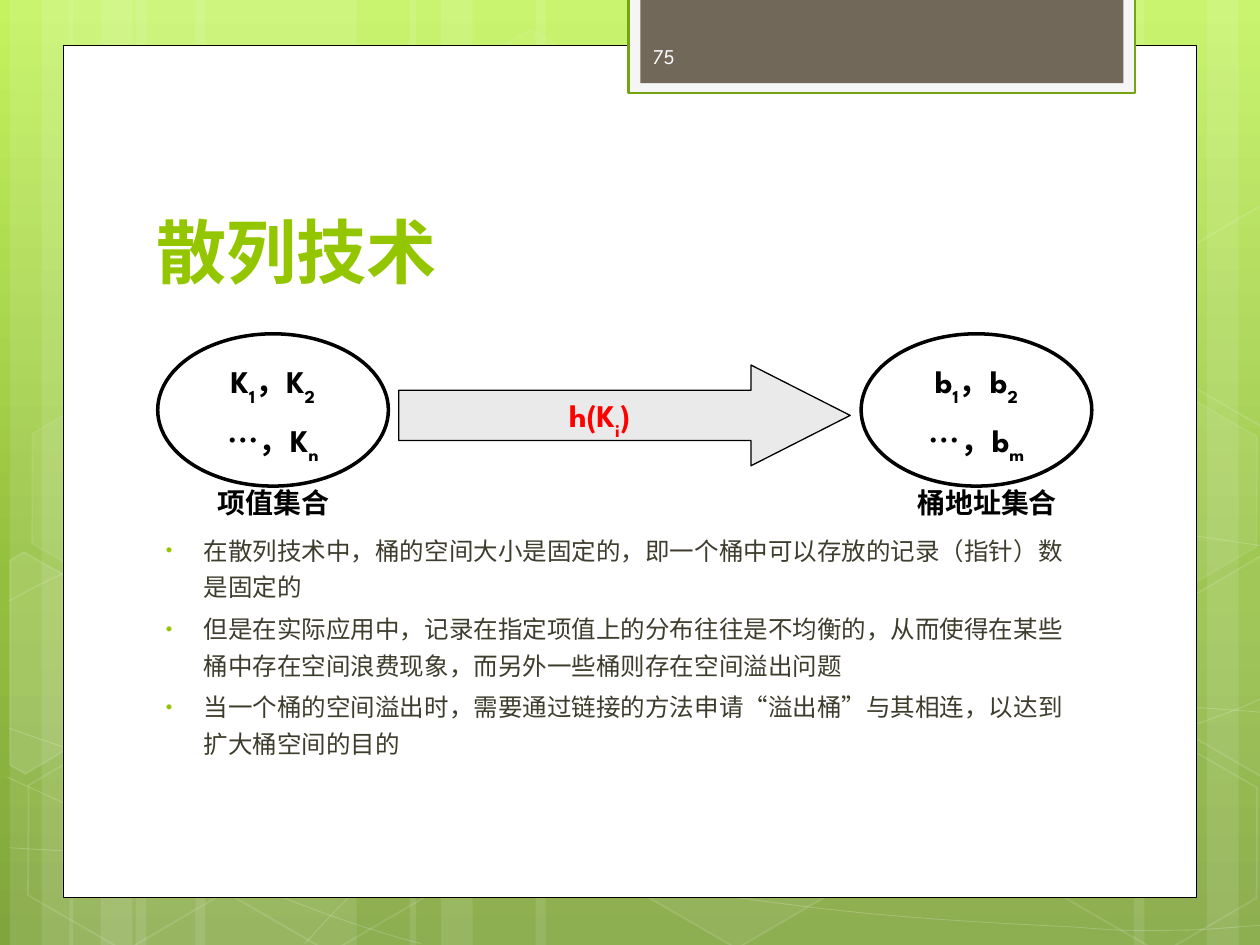
from lxml.etree import SubElement
from pptx import Presentation
from pptx.dml.color import RGBColor
from pptx.enum.shapes import MSO_SHAPE as Preset
from pptx.enum.text import MSO_ANCHOR as Anchor, MSO_AUTO_SIZE as AutoSize, PP_ALIGN as Align
from pptx.oxml.ns import qn
from pptx.util import Cm, Pt

COLORS = {
    "white": "FFFFFF", "black": "000000", "frame": "F5F5F5", "frame_edge": "74A510",
    "header": "71685A", "accent": "94C600", "body": "3E3D2D", "number": "FEFEFE",
    "arrow": "EAEAEA", "formula": "FF0000",
}
BACKGROUND_STOPS = [(0, "C3F35F"), (62, "93BF3F"), (100, "81A53E")]
FONT = "League Spartan"
SLIDE_WIDTH, SLIDE_HEIGHT = 25.4, 19.05

WIDE, NARROW, MEDIUM = 4.45, 1.27, 2.11
BANDS = [
    (2.74, WIDE), (0.2, NARROW), (0.84, MEDIUM), (3.94, WIDE), (1.4, NARROW), (2.03, MEDIUM),
    (18.62, WIDE), (24.33, NARROW), (22.86, MEDIUM), (10.8, 7.82), (8.26, NARROW), (8.89, MEDIUM),
]
CURVES = [
    [(0.18, 17.09), (1.55, 17.17), (2.92, 17.25), (4.83, 17.22), (6.73, 17.2), (9.09, 17.15),
     (11.63, 16.89), (14.17, 16.64), (17.78, 16.15), (20.12, 15.67), (22.43, 15.19),
     (24.82, 14.43), (25.58, 14)],
    [(0.18, 12.12), (0.91, 11.71), (1.65, 11.33), (3.07, 10.95), (4.52, 10.57), (6.58, 10.01),
     (8.81, 9.83), (11.07, 9.65), (13.82, 9.63), (16.61, 9.83), (19.41, 10.03),
     (24.05, 10.82), (25.58, 11.02)],
    [(0.15, 15.67), (3.23, 17.07), (6.27, 18.47), (8.48, 19.02)],
    [(0.18, 14.68), (0.97, 14.96), (1.78, 15.24), (3.25, 15.65), (4.72, 16.03), (6.93, 16.66),
     (9.07, 17.09), (11.18, 17.53), (13.84, 17.98), (15.95, 18.24), (18.06, 18.52),
     (20.32, 18.62), (21.67, 18.69), (22.99, 18.8), (23.34, 18.75), (24, 18.75),
     (24.66, 18.72), (25.12, 18.67), (25.58, 18.64)],
    [(6.15, 19.02), (6.6, 18.52), (7.06, 18.01), (7.67, 17.55), (8.28, 17.09), (9.14, 16.59),
     (9.86, 16.23), (10.57, 15.88), (11, 15.72), (11.94, 15.47), (12.85, 15.21),
     (14.55, 14.86), (15.44, 14.68), (16.36, 14.5), (16.48, 14.5), (17.27, 14.45),
     (18.06, 14.38), (19.3, 14.3), (20.17, 14.27), (21.06, 14.25), (22.5, 14.27),
     (22.5, 14.27), (23, 14.27), (23.6, 14.27), (24.21, 14.27), (24.66, 14.3),
     (25.1, 14.33), (25.32, 14.35), (25.55, 14.38), (25.48, 14.35), (25.55, 14.38)],
]
HEXAGONS = [
    (8.48, 0.91, 4, 8), (12.62, 14.96, 6, 12), (0.28, 15.01, 0, 12), (0.36, 7.92, 7, 8),
    (4.42, 15.04, 0, 12), (19.13, 11.51, 10, 12), (21.18, 15.06, 0, 12), (21.18, 7.98, 7, 8),
]
LEFT_CUT = [(0.2, 11.3), (0.48, 11.13), (2.44, 12.24), (2.41, 14.48), (0.51, 15.6), (0.2, 15.42)]
RIGHT_CUT = [(23.52, 12.32), (25.43, 11.2), (25.63, 11.33), (25.63, 15.57), (25.45, 15.67),
             (23.52, 14.55)]
UPPER_CUT = [(x, y - 7.06) for x, y in RIGHT_CUT]

POINTS = [
    "在散列技术中，桶的空间大小是固定的，即一个桶中可以存放的记录（指针）数是固定的",
    "但是在实际应用中，记录在指定项值上的分布往往是不均衡的，从而使得在某些桶中存在空间浪费现象，而另外一些桶则存在空间溢出问题",
    "当一个桶的空间溢出时，需要通过链接的方法申请“溢出桶”与其相连，以达到扩大桶空间的目的",
]


def rgb(name):
    """Return the named colour."""
    return RGBColor.from_string(COLORS[name])


def set_alpha(solid_fill, percent):
    """Make a solid fill partly transparent."""
    SubElement(solid_fill[0], qn("a:alpha")).set("val", str(percent * 1000))


def paint(shape, fill=None, line=None, width=1, fill_alpha=100, line_alpha=100):
    """Set fill, outline and opacity of a shape."""
    shape.shadow.inherit = False
    properties = shape.element.spPr
    if fill:
        shape.fill.solid()
        shape.fill.fore_color.rgb = rgb(fill)
        if fill_alpha < 100:
            set_alpha(properties.find(qn("a:solidFill")), fill_alpha)
    else:
        shape.fill.background()
    if line:
        shape.line.color.rgb = rgb(line)
        shape.line.width = Pt(width)
        if line_alpha < 100:
            set_alpha(properties.find(qn("a:ln")).find(qn("a:solidFill")), line_alpha)
    else:
        shape.line.fill.background()


def add_preset(slide, preset, box, **style):
    """Add a painted preset shape at a box given in centimetres."""
    shape = slide.shapes.add_shape(preset, *map(Cm, box))
    paint(shape, **style)
    return shape


def add_outline(slide, points, close, **style):
    """Add a painted freeform through points given in centimetres."""
    start, *rest = [(Cm(x), Cm(y)) for x, y in points]
    builder = slide.shapes.build_freeform(*start)
    builder.add_line_segments(rest, close=close)
    shape = builder.convert_to_shape()
    paint(shape, **style)
    return shape


def add_curve(slide, controls, **style):
    """Add a chain of cubic Bezier segments."""
    shape = add_outline(slide, controls, False, **style)
    outline = shape.element.spPr.find(".//" + qn("a:path"))
    lines = outline.findall(qn("a:lnTo"))
    for first in range(0, len(lines), 3):
        segment = SubElement(outline, qn("a:cubicBezTo"))
        for line in lines[first:first + 3]:
            segment.append(line[0])
            outline.remove(line)


def write(frame, lines, size, color, bold=True, align=Align.CENTER, anchor=Anchor.TOP, font=FONT):
    """Write lines whose every second part is a subscript."""
    frame.word_wrap = True
    frame.auto_size = AutoSize.NONE
    frame.vertical_anchor = anchor
    for index, parts in enumerate(lines):
        paragraph = frame.paragraphs[0] if index == 0 else frame.add_paragraph()
        paragraph.alignment = align
        if index:
            paragraph.space_before = Pt(8)
        for position, part in enumerate(parts):
            run = paragraph.add_run()
            run.text = part
            if position % 2:
                run._r.get_or_add_rPr().set("baseline", "-30000")
        style_font(paragraph.font, size, color, bold, font)


def style_font(font, size, color, bold=False, name=FONT):
    """Set the common font properties."""
    font.name, font.size, font.bold = name, Pt(size), bold
    font.color.rgb = rgb(color)


def add_label(slide, box, text, size, color, **style):
    """Add a one-line text box."""
    write(slide.shapes.add_textbox(*map(Cm, box)).text_frame, [[text]], size, color, **style)


def add_bullet(paragraph):
    """Give a paragraph a green hanging bullet."""
    properties = paragraph._p.get_or_add_pPr()
    properties.set("marL", str(Cm(0.97)))
    properties.set("indent", str(Cm(-0.76)))
    SubElement(SubElement(properties, qn("a:buClr")), qn("a:srgbClr")).set("val", COLORS["accent"])
    SubElement(properties, qn("a:buSzPct")).set("val", "76000")
    SubElement(properties, qn("a:buFont")).set("typeface", "Arial")
    SubElement(properties, qn("a:buChar")).set("char", "•")


def place(slide, placeholder, box):
    """Move a placeholder to a box and to the front."""
    placeholder.left, placeholder.top, placeholder.width, placeholder.height = map(Cm, box)
    slide.shapes.element.append(placeholder.element)


def fill_background(slide):
    """Fill the background with a vertical green gradient."""
    fill = slide.background.fill
    fill.gradient()
    fill.gradient_angle = 270
    stops = slide.element.find(".//" + qn("a:gsLst"))
    for stop in list(stops):
        stops.remove(stop)
    for position, color in BACKGROUND_STOPS:
        stop = SubElement(stops, qn("a:gs"))
        stop.set("pos", str(position * 1000))
        SubElement(stop, qn("a:srgbClr")).set("val", color)


def add_backdrop(slide):
    """Add bands, curves, hexagons, the white panel and the header tab."""
    fill_background(slide)
    for left, width in BANDS:
        add_preset(slide, Preset.RECTANGLE, (left, 0, width, SLIDE_HEIGHT),
                   fill="white", fill_alpha=10)
    for controls in CURVES:
        add_curve(slide, controls, line="white", width=0.5, line_alpha=20)
    for left, top, fill_alpha, line_alpha in HEXAGONS:
        hexagon = add_preset(slide, Preset.HEXAGON, (left, top, 4.45, 3.86),
                             fill="white" if fill_alpha else None, line="white",
                             fill_alpha=fill_alpha, line_alpha=line_alpha)
        hexagon.adjustments[0] = 0.285
        hexagon.rotation = 30
    for points, fill_alpha in ((LEFT_CUT, 10), (RIGHT_CUT, 4), (UPPER_CUT, 0)):
        add_outline(slide, points, True, fill="white" if fill_alpha else None, line="white",
                    fill_alpha=fill_alpha, line_alpha=12)
    add_preset(slide, Preset.RECTANGLE, (1.27, 0.91, 22.86, 17.19),
               fill="white", line="black", width=0.5)
    add_preset(slide, Preset.RECTANGLE, (12.67, -0.05, 10.21, 1.93),
               fill="frame", line="frame_edge", width=1.25)
    add_preset(slide, Preset.RECTANGLE, (12.91, -0.05, 9.74, 1.73), fill="header")
    add_label(slide, (12.91, 0.62, 3.71, 1.02), "75", 12, "number",
              bold=False, align=Align.LEFT, anchor=Anchor.MIDDLE)


def add_set(slide, left, letter, last, label_left, label):
    """Add an ellipse of indexed members with its label."""
    ellipse = add_preset(slide, Preset.OVAL, (left, 6.73, 4.65, 3.07), line="black", width=2)
    members = [(letter, "1", "，" + letter, "2"), ("…，" + letter, last)]
    write(ellipse.text_frame, members, 18, "black")
    add_label(slide, (label_left, 9.67, 5.08, 0.94), label, 16, "black", font="Arial")


def add_points(slide, body):
    """Write the bulleted list."""
    place(slide, body, (2.88, 10.52, 18.82, 5.68))
    frame = body.text_frame
    frame.auto_size = AutoSize.NONE
    for index, point in enumerate(POINTS):
        paragraph = frame.paragraphs[0] if index == 0 else frame.add_paragraph()
        paragraph.text = point
        add_bullet(paragraph)
        paragraph.line_spacing = 1.25
        paragraph.space_before = Pt(2.8 if index else 0)
        style_font(paragraph.font, 14, "body")


def main():
    """Build the slide on hashing and save it."""
    deck = Presentation()
    deck.slide_width, deck.slide_height = Cm(SLIDE_WIDTH), Cm(SLIDE_HEIGHT)
    slide = deck.slides.add_slide(deck.slide_layouts[1])
    title, body = slide.placeholders
    add_backdrop(slide)
    place(slide, title, (2.9, 2.84, 19.51, 3.18))
    write(title.text_frame, [["散列技术"]], 40, "accent", align=Align.LEFT, anchor=Anchor.BOTTOM)
    add_points(slide, body)
    add_set(slide, 3.18, "K", "n", 2.97, "项值集合")
    add_set(slide, 17.36, "b", "m", 17.36, "桶地址集合")
    mapping = add_preset(slide, Preset.RIGHT_ARROW, (8.04, 7.36, 9.1, 2.03),
                         fill="arrow", line="black", width=0.75)
    mapping.adjustments[1] = 0.985
    write(mapping.text_frame, [("h(K", "i", ")")], 18, "formula")
    deck.save("out.pptx")


if __name__ == "__main__":
    main()
